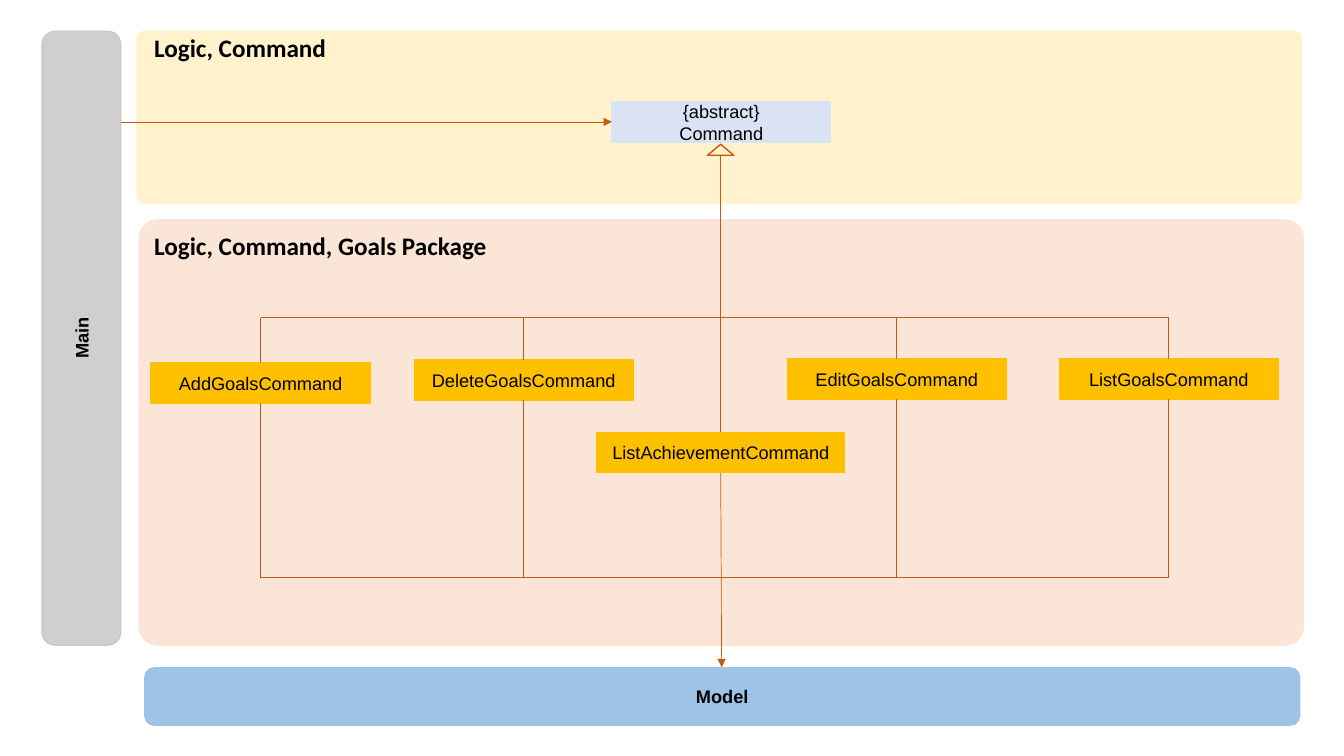
from lxml import etree
from pptx import Presentation
from pptx.dml.color import RGBColor
from pptx.enum import shapes as kinds, text as txt
from pptx.oxml.ns import qn
from pptx.util import Pt

BLACK, AMBER, RUST = "000000", "FFC000", "C55A11"
CLASS_H = 28.8
CLASS_W = 156.2


def color(hex_string):
    return RGBColor.from_string(hex_string)


def write(frame, lines, size, font, bold, align):
    for i, line in enumerate(lines):
        paragraph = frame.paragraphs[0] if i == 0 else frame.add_paragraph()
        paragraph.alignment = align
        run = paragraph.add_run()
        run.text = line
        run.font.size = Pt(size)
        run.font.name = font
        run.font.bold = bold
        run.font.color.rgb = color(BLACK)


def add_block(slide, box, fill=None, line=None, lines=(), bold=False,
              corner=None, kind=kinds.MSO_SHAPE.ROUNDED_RECTANGLE):
    block = slide.shapes.add_shape(kind, *map(Pt, box))
    block.shadow.inherit = False
    if corner is not None:
        block.adjustments[0] = corner
    if fill:
        block.fill.solid()
        block.fill.fore_color.rgb = color(fill)
    else:
        block.fill.background()
    if line:
        block.line.color.rgb = color(line)
        block.line.width = Pt(1)
    else:
        block.line.fill.background()
    frame = block.text_frame
    frame.margin_top = frame.margin_bottom = 0
    frame.vertical_anchor = txt.MSO_ANCHOR.MIDDLE
    write(frame, lines, 13, "Arial", bold, txt.PP_ALIGN.CENTER)
    return block


def add_line(slide, start, end, arrow=False):
    line = slide.shapes.add_connector(
        kinds.MSO_CONNECTOR.STRAIGHT, *map(Pt, (*start, *end)))
    line.line.color.rgb = color(RUST)
    line.line.width = Pt(0.5)
    if arrow:
        etree.SubElement(line.line._get_or_add_ln(), qn("a:tailEnd"), type="triangle")
    etree.SubElement(line._element.spPr, qn("a:effectLst"))


def add_class(slide, left, top, lines, fill=AMBER, width=CLASS_W):
    add_block(slide, (left, top, width, CLASS_H), fill, fill, lines, corner=0)


def add_panel(slide, box, fill, heading, heading_box):
    add_block(slide, box, fill, fill, corner=0.044)
    label = slide.shapes.add_textbox(*map(Pt, heading_box))
    label.text_frame.word_wrap = False
    label.text_frame.auto_size = txt.MSO_AUTO_SIZE.SHAPE_TO_FIT_TEXT
    write(label.text_frame, [heading], 18, "Calibri", True, txt.PP_ALIGN.LEFT)


def add_main_bar(slide, box):
    """Fill an upright box with a bar whose text reads upwards."""
    left, top, width, height = box
    turned = (left + (width - height) / 2, top + (height - width) / 2, height, width)
    add_block(slide, turned, "D0CECE", "C9C9C9", ["Main"], True).rotation = 270


def add_command_panel(slide, box, main_right):
    left, top, width, height = box
    add_panel(slide, box, "FFF2CC", "Logic, Command", (left + 5, top - 2.9, 139, 28.8))
    command_left, command_top = left + 339.1, top + 50.4
    add_class(slide, command_left, command_top, ["{abstract}", "Command"], "DAE3F3")
    arrow_y = command_top + CLASS_H / 2
    add_line(slide, (main_right, arrow_y), (command_left, arrow_y), arrow=True)


def add_goals_panel(slide, box, command_bottom, model_top):
    left, top, width, height = box
    add_panel(slide, box, "FBE5D6", "Logic, Command, Goals Package",
              (left + 3.6, top + 4.3, 254.2, 28.8))
    upper_bus, lower_bus = top + 69.8, top + 255.6
    goal_commands = [
        ("AddGoalsCommand", 8.6, 102.2),
        ("DeleteGoalsCommand", 196.5, 100),
        ("EditGoalsCommand", 463, 99.3),
        ("ListGoalsCommand", 657.3, 99.3),
    ]
    centers = []
    for name, dx, dy in goal_commands:
        add_class(slide, left + dx, top + dy, [name])
        center = left + dx + CLASS_W / 2
        add_line(slide, (center, top + dy), (center, upper_bus))
        add_line(slide, (center, top + dy + CLASS_H), (center, lower_bus))
        centers.append(center)
    for bus in (upper_bus, lower_bus):
        add_line(slide, (centers[0], bus), (centers[-1], bus))

    trunk, achievement_top = left + 415.4, top + 151.9
    head_w, head_h = 18.7, 7.9
    head_top = command_bottom + 1.5
    add_block(slide, (trunk - head_w / 2, head_top, head_w, head_h),
              line=RUST, kind=kinds.MSO_SHAPE.ISOSCELES_TRIANGLE)
    add_line(slide, (trunk, achievement_top), (trunk, head_top + head_h))
    add_line(slide, (trunk, achievement_top + CLASS_H), (trunk + 0.7, model_top), arrow=True)
    achievement_w = 177.1
    add_class(slide, trunk - achievement_w / 2, achievement_top,
              ["ListAchievementCommand"], width=achievement_w)


def main():
    deck = Presentation()
    deck.slide_width, deck.slide_height = Pt(960), Pt(540)
    slide = deck.slides.add_slide(deck.slide_layouts[6])
    model_top = 476.6
    add_main_bar(slide, (30, 22.3, 56.2, 438.5))
    add_command_panel(slide, (98, 22.3, 831.6, 123.1), main_right=86.4)
    add_goals_panel(slide, (99.4, 157, 831.6, 303.8), 101.5, model_top)
    add_block(slide, (103, model_top, 825.8, 41.8), "9DC3E6", lines=["Model"], bold=True)
    deck.save("out.pptx")


if __name__ == "__main__":
    main()
